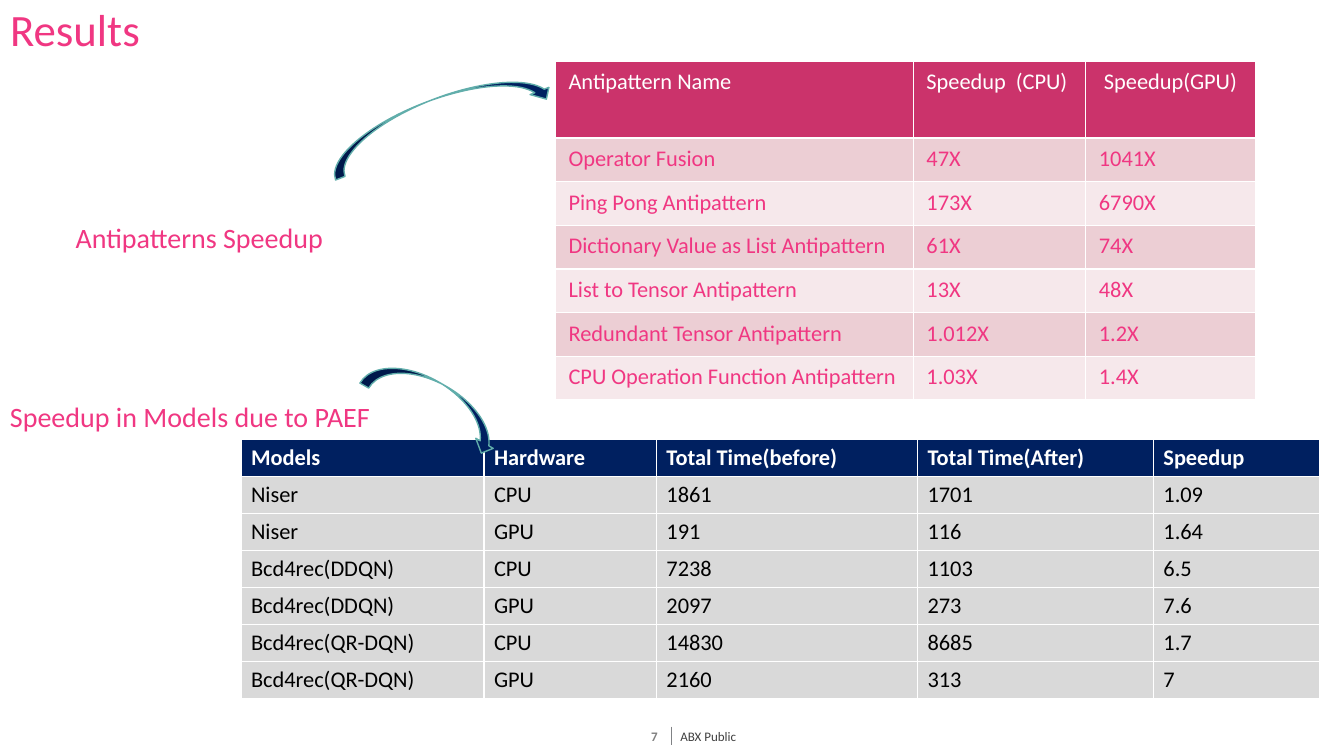
from lxml.etree import SubElement
from pptx import Presentation
from pptx.dml.color import RGBColor
from pptx.enum.shapes import MSO_CONNECTOR, MSO_SHAPE
from pptx.enum.text import MSO_ANCHOR, PP_ALIGN
from pptx.oxml.ns import qn
from pptx.util import Inches, Pt

HUES = {
    "pink": "F03782", "rose": "CB336B", "blush": "ECCED4", "pale": "F6E8EB",
    "navy": "002060", "teal": "61AEAB", "silver": "D9D9D9", "rule": "808285",
    "gray": "808080", "dark": "404040", "white": "FFFFFF", "black": "000000",
}
RGB = {name: RGBColor.from_string(code) for name, code in HUES.items()}

deck = Presentation()
deck.slide_width, deck.slide_height = Inches(13.33), Inches(7.5)
slide = deck.slides.add_slide(deck.slide_layouts[5])
shapes = slide.shapes


def place(x, y, w, h):
    """Turn percentages of the slide's width and height into lengths."""
    wide, high = deck.slide_width / 100, deck.slide_height / 100
    return [round(n) for n in (x * wide, y * high, w * wide, h * high)]


def write(frame, text, size, hue, bold=False, align=PP_ALIGN.LEFT):
    frame.text = text
    frame.word_wrap = True
    para = frame.paragraphs[0]
    para.alignment = align
    para.line_spacing = 1.0
    para.font.name, para.font.size = "Calibri", Pt(size)
    para.font.bold, para.font.color.rgb = bold, RGB[hue]


# Title
title = shapes.title
title.left, title.top, title.width, title.height = place(0, -0.4, 20.33, 8.53)
write(title.text_frame, "Results", 32, "pink")
title.text_frame.vertical_anchor = MSO_ANCHOR.TOP

# Footer
x, y, w, h = place(49.96, 96.13, 0, 2.4)
rule = shapes.add_connector(MSO_CONNECTOR.STRAIGHT, x, y, x, y + h)
rule.line.color.rgb, rule.line.width = RGB["rule"], Pt(0.5)
SubElement(rule.element.spPr, qn("a:effectLst"))

number = shapes.add_textbox(*place(47.03, 96.13, 3.3, 2.53)).text_frame
write(number, "7", 9.3, "gray", True, PP_ALIGN.CENTER)
notice = shapes.add_textbox(*place(50.11, 96.13, 20.55, 2.53)).text_frame
write(notice, "ABX Public", 9.3, "dark")
notice.margin_left = Inches(0.07)
for frame in (number, notice):
    frame.vertical_anchor = MSO_ANCHOR.MIDDLE

# Table captions
captions = [
    ("Antipatterns Speedup", (4.65, 28.27, 26.55, 6.27), 0.13, 0.07),
    ("Speedup in Models due to PAEF", (0, 52.13, 29.55, 5.87), 0.1, 0.05),
]
for text, area, side, top in captions:
    frame = shapes.add_textbox(*place(*area)).text_frame
    write(frame, text, 20, "pink")
    frame.margin_left = frame.margin_right = Inches(side)
    frame.margin_top = frame.margin_bottom = Inches(top)

# Tables
gains = [
    ("Antipattern Name", "Speedup  (CPU)", " Speedup(GPU)"),
    ("Operator Fusion", "47X", "1041X"),
    ("Ping Pong Antipattern", "173X", "6790X"),
    ("Dictionary Value as List Antipattern", "61X", "74X"),
    ("List to Tensor Antipattern", "13X", "48X"),
    ("Redundant Tensor Antipattern", "1.012X", "1.2X"),
    ("CPU Operation Function Antipattern", "1.03X", "1.4X"),
]
times = [
    ("Models", "Hardware", "Total Time(before)", "Total Time(After)", "Speedup"),
    ("Niser", "CPU", "1861", "1701", "1.09"),
    ("Niser", "GPU", "191", "116", "1.64"),
    ("Bcd4rec(DDQN)", "CPU", "7238", "1103", "6.5"),
    ("Bcd4rec(DDQN)", "GPU", "2097", "273", "7.6"),
    ("Bcd4rec(QR-DQN)", "CPU", "14830", "8685", "1.7"),
    ("Bcd4rec(QR-DQN)", "GPU", "2160", "313", "7"),
]
# data, area, column shares, header share, header fill, bands, ink, bold, insets
tables = [
    (gains, (41.33, 8.13, 52.05, 44.8), (26.63, 12.83, 12.6), 10.13,
     "rose", ("blush", "pale"), "pink", False, (0.13, 0.07)),
    (times, (17.93, 58.13, 80.25, 34.27), (18.08, 12.83, 19.43, 17.55, 12.38), 4.9,
     "navy", ("silver", "silver"), "black", True, (0.1, 0.05)),
]
for data, area, cols, head, top, bands, ink, bold, (side, edge) in tables:
    table = shapes.add_table(len(data), len(cols), *place(*area)).table
    for col, share in zip(table.columns, cols):
        col.width = place(0, 0, share, 0)[2]
    body = (area[3] - head) / (len(data) - 1)
    for r, row in enumerate(data):
        table.rows[r].height = place(0, 0, 0, body if r else head)[3]
        for c, text in enumerate(row):
            cell = table.cell(r, c)
            cell.fill.solid()
            cell.fill.fore_color.rgb = RGB[bands[(r - 1) % 2] if r else top]
            cell.margin_left = cell.margin_right = Inches(side)
            cell.margin_top = cell.margin_bottom = Inches(edge)
            write(cell.text_frame, text, 16, ink if r else "white", bold and r == 0)

# Arrows from captions to tables
for area, turn in [((23.85, 13.07, 17.55, 5.33), 339), ((26.78, 50.67, 11.18, 5.33), 30)]:
    arrow = shapes.add_shape(MSO_SHAPE.CURVED_DOWN_ARROW, *place(*area))
    arrow.rotation = turn
    arrow.shadow.inherit = False
    arrow.fill.solid()
    arrow.fill.fore_color.rgb = RGB["navy"]
    arrow.line.color.rgb, arrow.line.width = RGB["teal"], Pt(1)

deck.save("out.pptx")
